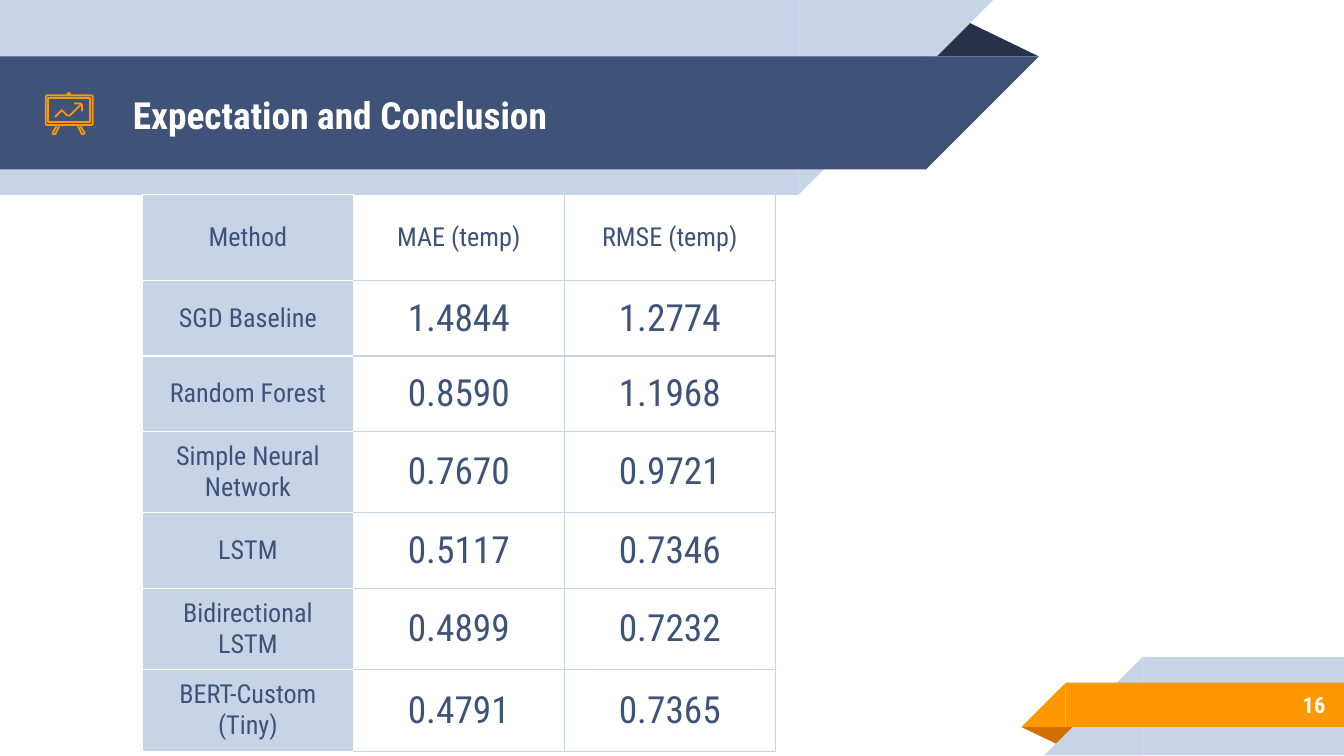
from dataclasses import dataclass

import pptx
import pptx.dml.color
import pptx.enum.shapes
import pptx.enum.text
import pptx.oxml.ns
import pptx.util
from lxml import etree

Inches = pptx.util.Inches
Pt = pptx.util.Pt
RGB = pptx.dml.color.RGBColor
MSO = pptx.enum.shapes.MSO_SHAPE
ALIGN = pptx.enum.text.PP_ALIGN
MIDDLE = pptx.enum.text.MSO_ANCHOR.MIDDLE
qn = pptx.oxml.ns.qn


@dataclass(frozen=True)
class Theme:
    font: str = "Roboto Condensed"
    navy: str = "3F5378"
    dark: str = "263248"
    pale: str = "C7D3E6"
    orange: str = "FF9800"
    rust: str = "D26F00"
    white: str = "FFFFFF"
    title: int = 20
    value: int = 20
    label: int = 14
    number: int = 12
    border: float = 0.75
    icon_line: float = 0.96


@dataclass(frozen=True)
class Band:
    """A bar with a square-cut diagonal tip as wide as the bar is high."""
    x: float
    y: float
    w: float
    h: float
    color: str
    tip_right: bool


@dataclass(frozen=True)
class Fold:
    x: float
    y: float
    w: float
    h: float
    color: str
    rotation: int


@dataclass(frozen=True)
class Stroke:
    points: tuple[tuple[float, float], ...]


T = Theme()
FOLD_APEX = 0.32

HEADER = [
    Fold(6.88, 0.14, 0.85, 0.28, T.dark, 0),
    Band(0, 0, 5.94, 1.45, T.pale, True),
    Band(0, 0.42, 6.89, 0.84, T.navy, True),
]
FOOTER = [
    Fold(7.6, 5.41, 0.43, 0.14, T.rust, 180),
    Band(8.5, 4.89, 1.5, 0.73, T.pale, False),
    Band(7.93, 5.08, 2.07, 0.33, T.orange, False),
]

ICON_STROKES = [
    Stroke(((0.5, 0.71), (0.5, 0.7), (0.51, 0.69), (0.52, 0.7), (0.52, 0.71))),  # hook
    Stroke(((0.42, 0.94), (0.39, 0.99), (0.4, 1), (0.41, 1), (0.44, 0.94))),  # left leg
    Stroke(((0.58, 0.94), (0.61, 1), (0.62, 1), (0.63, 0.99), (0.6, 0.94))),  # right leg
    Stroke(((0.6, 0.78), (0.52, 0.86), (0.5, 0.86), (0.46, 0.82), (0.41, 0.87))),  # trend
    Stroke(((0.55, 0.77), (0.6, 0.77), (0.61, 0.78), (0.61, 0.83))),  # arrow tip
]

ROWS = [
    ("Method", "MAE (temp)", "RMSE (temp)"),
    ("SGD Baseline", "1.4844", "1.2774"),
    ("Random Forest", "0.8590", "1.1968"),
    ("Simple Neural Network", "0.7670", "0.9721"),
    ("LSTM", "0.5117", "0.7346"),
    ("Bidirectional LSTM", "0.4899", "0.7232"),
    ("BERT-Custom (Tiny)", "0.4791", "0.7365"),
]
COL_W, HEAD_H, ROW_H = 1.57, 0.64, 0.56


def add_solid(s, kind, x: float, y: float, w: float, h: float, color: str, rotation: int = 0):
    sp = s.shapes.add_shape(kind, Inches(x), Inches(y), Inches(w), Inches(h))
    sp.shadow.inherit = False
    sp.fill.solid()
    sp.fill.fore_color.rgb = RGB.from_string(color)
    sp.line.fill.background()
    sp.rotation = rotation
    return sp


def add_fold(s, f: Fold) -> None:
    sp = add_solid(s, MSO.ISOSCELES_TRIANGLE, f.x, f.y, f.w, f.h, f.color, f.rotation)
    sp.adjustments[0] = FOLD_APEX


def add_band(s, b: Band) -> None:
    add_solid(s, MSO.RECTANGLE, b.x, b.y, b.w, b.h, b.color)
    tip_x = b.x + b.w if b.tip_right else b.x - b.h
    rotation = 90 if b.tip_right else 270
    add_solid(s, MSO.RIGHT_TRIANGLE, tip_x, b.y, b.h, b.h, b.color, rotation)


def add_ribbon(s, parts: list) -> None:
    for part in parts:
        if isinstance(part, Band):
            add_band(s, part)
        else:
            add_fold(s, part)


def style(p, size: int, color: str, align, bold: bool = False) -> None:
    p.alignment = align
    p.font.name = T.font
    p.font.size = Pt(size)
    p.font.bold = bold
    p.font.color.rgb = RGB.from_string(color)


def add_text(s, text: str, x: float, y: float, w: float, h: float, size: int, align) -> None:
    tf = s.shapes.add_textbox(Inches(x), Inches(y), Inches(w), Inches(h)).text_frame
    tf.word_wrap = True
    tf.vertical_anchor = MIDDLE
    tf.margin_left = tf.margin_right = tf.margin_top = tf.margin_bottom = Inches(0.1)
    tf.text = text
    style(tf.paragraphs[0], size, T.white, align, bold=True)


def set_borders(cell, left: str, others: str) -> None:
    tc_pr = cell._tc.get_or_add_tcPr()
    for side in "LRTB":
        ln = etree.SubElement(tc_pr, qn(f"a:ln{side}"), w=str(Pt(T.border)))
        fill = etree.SubElement(ln, qn("a:solidFill"))
        etree.SubElement(fill, qn("a:srgbClr"), val=left if side == "L" else others)


def add_results(s, x: float, y: float) -> None:
    n_rows, n_cols = len(ROWS), len(ROWS[0])
    height = HEAD_H + ROW_H * (n_rows - 1)
    table = s.shapes.add_table(n_rows, n_cols, Inches(x), Inches(y),
                               Inches(COL_W * n_cols), Inches(height)).table
    table.first_row = table.horz_banding = False
    for col in table.columns:
        col.width = Inches(COL_W)
    for i, values in enumerate(ROWS):
        table.rows[i].height = Inches(ROW_H if i else HEAD_H)
        for j, value in enumerate(values):
            cell = table.cell(i, j)
            cell.text = value
            cell.vertical_anchor = MIDDLE
            cell.margin_left = cell.margin_right = Inches(0.1)
            cell.margin_top = cell.margin_bottom = Inches(0.07)
            style(cell.text_frame.paragraphs[0], T.value if i and j else T.label,
                  T.navy, ALIGN.CENTER)
            set_borders(cell, T.pale if j > 1 else T.white, T.pale if j else T.white)
            if j:
                cell.fill.background()
            else:
                cell.fill.solid()
                cell.fill.fore_color.rgb = RGB.from_string(T.pale)


def outline(sp) -> None:
    sp.shadow.inherit = False
    sp.fill.background()
    sp.line.color.rgb = RGB.from_string(T.orange)
    sp.line.width = Pt(T.icon_line)


def add_board_icon(s) -> None:
    frame = s.shapes.add_shape(MSO.ROUNDED_RECTANGLE, Inches(0.34), Inches(0.71),
                               Inches(0.35), Inches(0.22))
    frame.adjustments[0] = 0.05
    outline(frame)
    outline(s.shapes.add_shape(MSO.RECTANGLE, Inches(0.36), Inches(0.73),
                               Inches(0.31), Inches(0.18)))
    for stroke in ICON_STROKES:
        start, *rest = [(Inches(x), Inches(y)) for x, y in stroke.points]
        builder = s.shapes.build_freeform(*start)
        builder.add_line_segments(rest, close=False)
        outline(builder.convert_to_shape())


def main() -> None:
    # Widescreen 16:9 slide
    prs = pptx.Presentation()
    prs.slide_width = Inches(10)
    prs.slide_height = Inches(10 * 9 / 16)
    s = prs.slides.add_slide(prs.slide_layouts[6])

    # Ribbons
    add_ribbon(s, HEADER)
    add_ribbon(s, FOOTER)

    # Title, results and slide number
    add_text(s, "Expectation and Conclusion", 0.89, 0.43, 5.75, 0.84, T.title, ALIGN.LEFT)
    add_results(s, 1.06, 1.45)
    add_text(s, "16", 8.33, 5.07, 1.63, 0.35, T.number, ALIGN.RIGHT)

    # Presentation board icon
    add_board_icon(s)

    prs.save("out.pptx")


if __name__ == "__main__":
    main()
